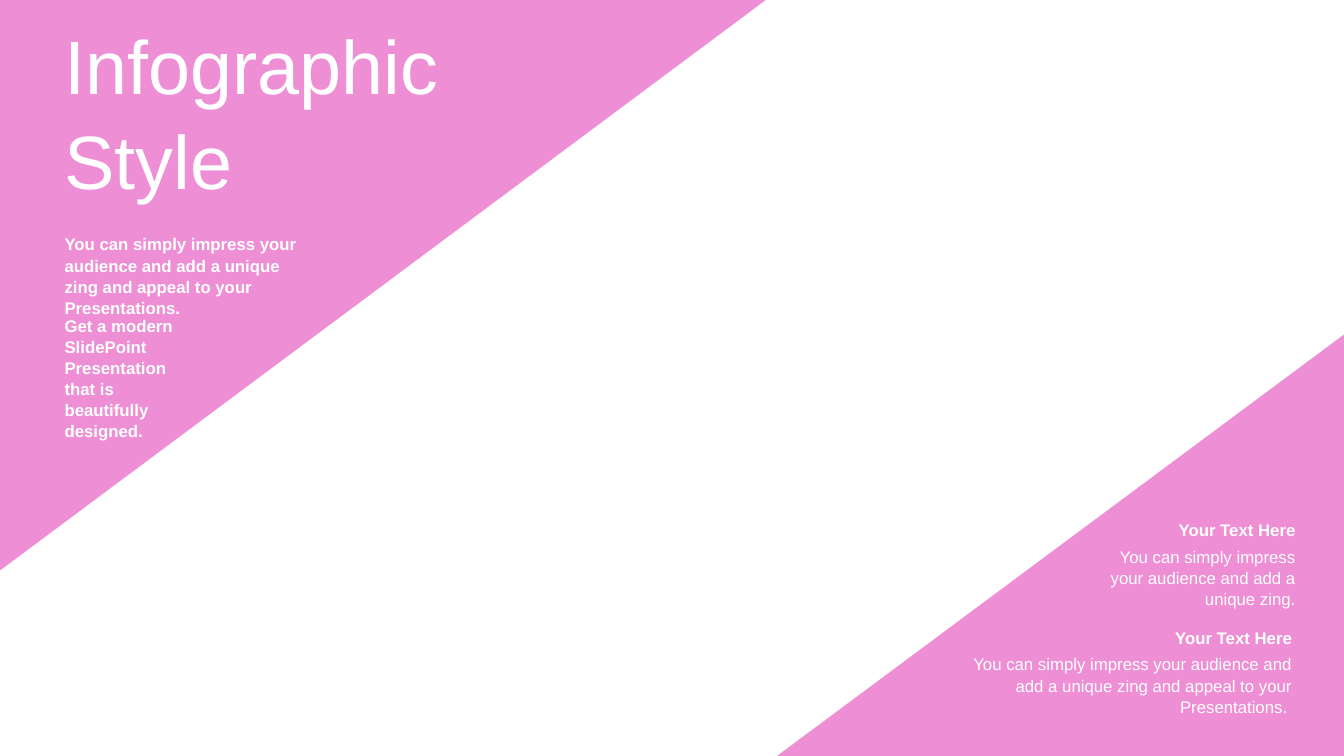
from lxml.etree import SubElement
from pptx import Presentation
from pptx.dml.color import RGBColor
from pptx.enum.shapes import MSO_SHAPE
from pptx.enum.text import MSO_ANCHOR, MSO_AUTO_SIZE, PP_ALIGN
from pptx.oxml.ns import qn
from pptx.util import Pt

SLIDE_WIDTH, SLIDE_HEIGHT = 960, 540
PINK, WHITE = "E85FC4", "FFFFFF"
IMPRESS = "You can simply impress your audience and add a unique zing"


def color(value):
    return RGBColor.from_string(value)


def set_values(target, values):
    for name, value in values.items():
        setattr(target, name, value)


def add_wedge(slide, left, top, width, height, rotation):
    shift = (width - height) / 2
    shape = slide.shapes.add_shape(
        MSO_SHAPE.RIGHT_TRIANGLE, Pt(left + shift), Pt(top - shift), Pt(height), Pt(width)
    )
    shape.rotation = rotation
    shape.shadow.inherit = False
    shape.line.fill.background()
    shape.fill.solid()
    shape.fill.fore_color.rgb = color(PINK)
    fill_color = shape.element.spPr.find(qn("a:solidFill"))[0]
    SubElement(fill_color, qn("a:alpha")).set("val", "70000")


def add_text(shapes, text, left, top, width, height, size=12, bold=False,
             alignment=PP_ALIGN.LEFT, anchor=MSO_ANCHOR.TOP):
    frame = shapes.add_textbox(Pt(left), Pt(top), Pt(width), Pt(height)).text_frame
    set_values(frame, {
        "word_wrap": True,
        "auto_size": MSO_AUTO_SIZE.SHAPE_TO_FIT_TEXT,
        "vertical_anchor": anchor,
    })
    paragraph = frame.paragraphs[0]
    paragraph.text = text
    set_values(paragraph, {"alignment": alignment, "line_spacing": 1.05})
    set_values(paragraph.runs[0].font, {"name": "Arial", "size": Pt(size), "bold": bold})
    paragraph.runs[0].font.color.rgb = color(WHITE)


def add_note(slide, text, right, top, width):
    group = slide.shapes.add_group_shape()
    left = right - width
    add_text(group.shapes, text, left, top + 19, width, 51, alignment=PP_ALIGN.RIGHT)
    add_text(group.shapes, "Your Text Here", left, top, width, 22,
             bold=True, alignment=PP_ALIGN.RIGHT)


def main():
    presentation = Presentation()
    set_values(presentation, {"slide_width": Pt(SLIDE_WIDTH), "slide_height": Pt(SLIDE_HEIGHT)})
    slide = presentation.slides.add_slide(presentation.slide_layouts[6])

    add_wedge(slide, SLIDE_WIDTH - 405, SLIDE_HEIGHT - 301, 405, 301, 270)
    add_wedge(slide, 0, 0, 547, 407.5, 90)

    add_text(slide.shapes, "Infographic Style", 39, 9.5, 327, 138,
             size=54, anchor=MSO_ANCHOR.MIDDLE)
    add_note(slide, f"{IMPRESS} and appeal to your Presentations. ", 930, 444, 261)
    add_note(slide, f"{IMPRESS}.", 932.5, 367, 148)
    add_text(slide.shapes, f"{IMPRESS} and appeal to your Presentations.",
             39, 163, 184, 65.5, bold=True)
    add_text(slide.shapes, "Get a modern SlidePoint Presentation that is beautifully designed.",
             39, 221, 104, 94.5, bold=True)

    presentation.save("out.pptx")


if __name__ == "__main__":
    main()
